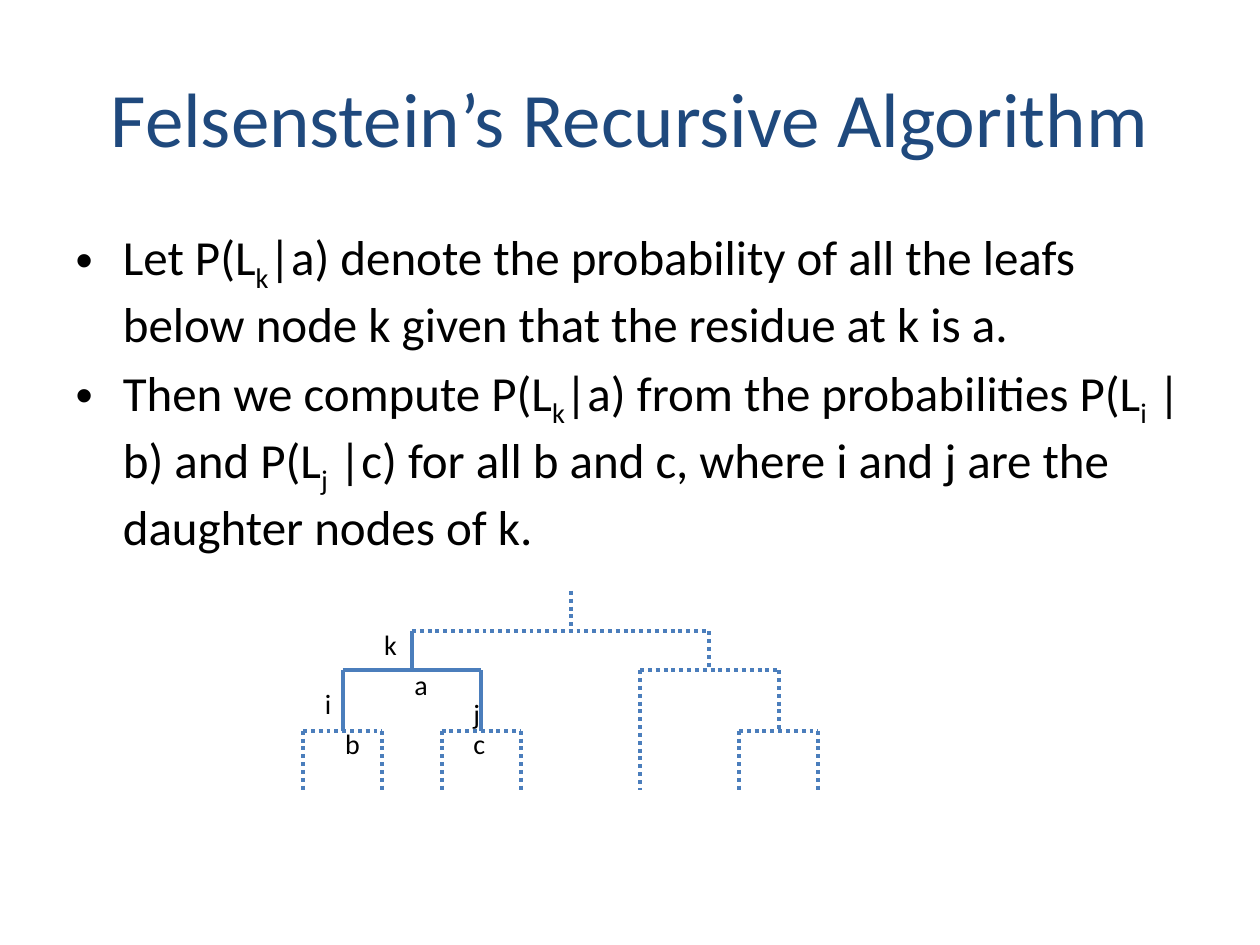
from lxml.etree import SubElement
from pptx import Presentation
from pptx.dml.color import RGBColor
from pptx.enum.dml import MSO_LINE
from pptx.enum.shapes import MSO_CONNECTOR
from pptx.enum.text import MSO_ANCHOR, MSO_AUTO_SIZE, PP_ALIGN
from pptx.oxml.ns import qn
from pptx.util import Inches, Pt

FONT = "Calibri"
TITLE_COLOR, TEXT_COLOR, BRANCH_COLOR = "1F497D", "000000", "4B7EBC"

# Heights of the tree levels, from above the root down to the leaves
STEM_Y, ROOT_Y, INNER_Y, LOWER_Y, LEAF_Y = 4.69, 5.01, 5.32, 5.8, 6.27
K_X, RIGHT_X = 3.27, 5.63
INNER_HALF, LEAF_HALF = 0.55, 0.315

# Each bullet alternates normal text and subscript
BULLETS = [
    ["Let P(L", "k", "|a) denote the probability of all the leafs below node k "
     "given that the residue at k is a."],
    ["Then we compute P(L", "k", "|a) from the probabilities P(L", "i",
     " | b) and P(L", "j",
     " |c) for all b and c, where i and j are the daughter nodes of k."],
]

NODE_LABELS = [
    ("k", 2.95, 4.93), ("a", 3.19, 5.25), ("i", 2.48, 5.4),
    ("b", 2.64, 5.72), ("c", 3.66, 5.72), ("j", 3.66, 5.48),
]


def rgb(color):
    return RGBColor.from_string(color)


def format_run(run, size, color):
    run.font.name = FONT
    run.font.size = Pt(size)
    run.font.color.rgb = rgb(color)


def place(shape, left, top, width, height):
    shape.left, shape.top = Inches(left), Inches(top)
    shape.width, shape.height = Inches(width), Inches(height)


def fill_title(title):
    place(title, 0.5, 0.3, 9, 1.25)
    frame = title.text_frame
    frame.text = "Felsenstein’s Recursive Algorithm"
    frame.vertical_anchor = MSO_ANCHOR.MIDDLE
    heading = frame.paragraphs[0]
    heading.alignment = PP_ALIGN.CENTER
    format_run(heading.runs[0], 44, TITLE_COLOR)


def fill_bullets(body):
    place(body, 0.5, 1.75, 9, 4.95)
    frame = body.text_frame
    frame.auto_size = MSO_AUTO_SIZE.NONE
    for number, pieces in enumerate(BULLETS):
        bullet = frame.add_paragraph() if number else frame.paragraphs[0]
        for position, piece in enumerate(pieces):
            run = bullet.add_run()
            run.text = piece
            format_run(run, 28, TEXT_COLOR)
            if position % 2:
                run._r.get_or_add_rPr().set("baseline", "-25000")


def add_branch(slide, x1, y1, x2, y2, dotted=True):
    branch = slide.shapes.add_connector(
        MSO_CONNECTOR.STRAIGHT, Inches(x1), Inches(y1), Inches(x2), Inches(y2))
    branch.line.color.rgb = rgb(BRANCH_COLOR)
    branch.line.width = Pt(2.25)
    if dotted:
        branch.line.dash_style = MSO_LINE.ROUND_DOT
    SubElement(branch._element.spPr, qn("a:effectLst"))


def add_fork(slide, left, right, top, left_end, right_end,
             bar_dotted=True, left_dotted=True, right_dotted=True):
    """Draw a horizontal bar with a branch hanging from each end."""
    add_branch(slide, left, top, right, top, bar_dotted)
    add_branch(slide, left, top, left, left_end, left_dotted)
    add_branch(slide, right, top, right, right_end, right_dotted)


def add_tree(slide):
    # Root
    add_branch(slide, 4.53, STEM_Y, 4.53, ROOT_Y)
    add_fork(slide, K_X, RIGHT_X, ROOT_Y, INNER_Y, INNER_Y, left_dotted=False)

    # Node k with daughters i and j, and the opposite subtree
    i_x, j_x = K_X - INNER_HALF, K_X + INNER_HALF
    far_x = RIGHT_X + INNER_HALF
    add_fork(slide, i_x, j_x, INNER_Y, LOWER_Y, LOWER_Y, False, False, False)
    add_fork(slide, RIGHT_X - INNER_HALF, far_x, INNER_Y, LEAF_Y, LOWER_Y)

    # Leaf pairs
    for parent_x in (i_x, j_x, far_x):
        add_fork(slide, parent_x - LEAF_HALF, parent_x + LEAF_HALF,
                 LOWER_Y, LEAF_Y, LEAF_Y)


def add_label(slide, text, left, top):
    label = slide.shapes.add_textbox(
        Inches(left), Inches(top), Inches(0.24), Inches(0.37))
    frame = label.text_frame
    frame.word_wrap = True
    frame.text = text
    format_run(frame.paragraphs[0].runs[0], 16, TEXT_COLOR)


def main():
    presentation = Presentation()
    presentation.slide_width = Inches(10)
    presentation.slide_height = Inches(7.5)
    slide = presentation.slides.add_slide(presentation.slide_layouts[1])

    fill_title(slide.shapes.title)
    fill_bullets(slide.placeholders[1])
    add_tree(slide)
    for text, left, top in NODE_LABELS:
        add_label(slide, text, left, top)

    presentation.save("out.pptx")


if __name__ == "__main__":
    main()
